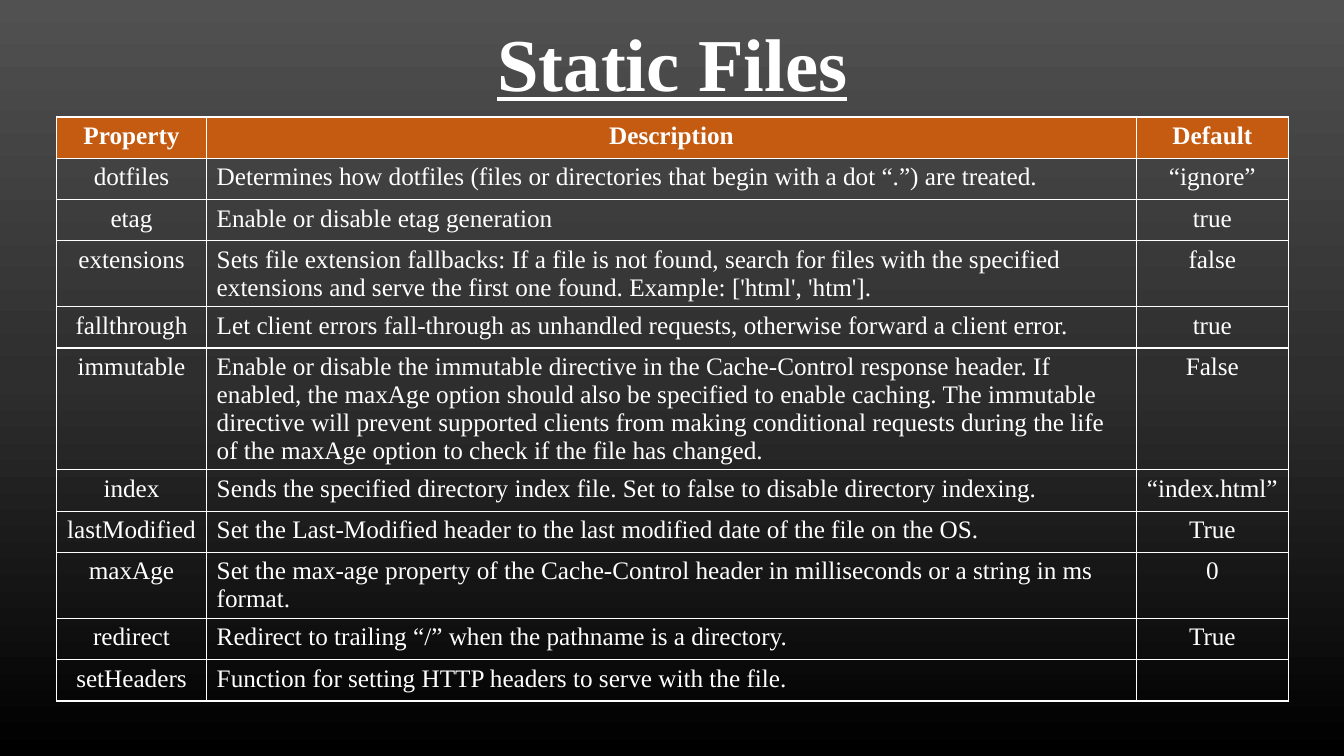
from copy import deepcopy
from dataclasses import dataclass

from lxml import etree
from pptx import Presentation
from pptx import util as u
from pptx.dml.color import RGBColor
from pptx.enum import text
from pptx.oxml import ns


@dataclass(frozen=True)
class Theme:
    font: str = "Times New Roman"
    title_size: float = 53.3
    table_size: float = 18
    light: str = "FFFFFF"
    header: str = "C55A11"
    border_width: float = 1
    background: tuple[str, ...] = ("515151", "2E2E2E", "000000")


@dataclass(frozen=True)
class Option:
    name: str
    description: str
    default: str


THEME = Theme()
COLUMN_WIDTHS = (1.49, 9.22, 1.51)
ROW_HEIGHT = 0.41
HEADER = Option("Property", "Description", "Default")
OPTIONS = (
    Option("dotfiles", "Determines how dotfiles (files or directories that begin with a dot “.”) are treated.", "“ignore”"),
    Option("etag", "Enable or disable etag generation", "true"),
    Option(
        "extensions",
        "Sets file extension fallbacks: If a file is not found, search for files with the specified "
        "extensions and serve the first one found. Example: ['html', 'htm'].",
        "false",
    ),
    Option("fallthrough", "Let client errors fall-through as unhandled requests, otherwise forward a client error.", "true"),
    Option(
        "immutable",
        "Enable or disable the immutable directive in the Cache-Control response header. If enabled, "
        "the maxAge option should also be specified to enable caching. The immutable directive will "
        "prevent supported clients from making conditional requests during the life of the maxAge "
        "option to check if the file has changed.",
        "False",
    ),
    Option("index", "Sends the specified directory index file. Set to false to disable directory indexing.", "“index.html”"),
    Option("lastModified", "Set the Last-Modified header to the last modified date of the file on the OS.", "True"),
    Option("maxAge", "Set the max-age property of the Cache-Control header in milliseconds or a string in ms format.", "0"),
    Option("redirect", "Redirect to trailing “/” when the pathname is a directory.", "True"),
    Option("setHeaders", "Function for setting HTTP headers to serve with the file.", ""),
)


def paint_background(slide) -> None:
    fill = slide.background.fill
    fill.gradient()
    fill.gradient_angle = 270
    stop_list = slide.element.find(".//" + ns.qn("a:gsLst"))
    stop_list.append(deepcopy(stop_list[0]))
    last = len(THEME.background) - 1
    for index, (stop, color) in enumerate(zip(fill.gradient_stops, THEME.background)):
        stop.position = index / last
        stop.color.rgb = RGBColor.from_string(color)


def format_paragraph(paragraph, size: float, bold: bool, alignment, underline: bool = False) -> None:
    paragraph.alignment = alignment
    for run in paragraph.runs:
        run.font.name = THEME.font
        run.font.size = u.Pt(size)
        run.font.bold = bold
        run.font.underline = underline
        run.font.color.rgb = RGBColor.from_string(THEME.light)


def add_title(slide, wording: str) -> None:
    title = slide.shapes.title
    title.left, title.top = u.Inches(0.67), u.Inches(0.04)
    title.width, title.height = u.Inches(12), u.Inches(1.25)
    frame = title.text_frame
    frame.text = wording
    frame.auto_size = text.MSO_AUTO_SIZE.NONE
    frame.vertical_anchor = text.MSO_ANCHOR.MIDDLE
    paragraph = frame.paragraphs[0]
    paragraph.line_spacing = 0.9
    format_paragraph(paragraph, THEME.title_size, True, text.PP_ALIGN.CENTER, True)


def add_borders(cell) -> None:
    properties = cell._tc.get_or_add_tcPr()
    for position, side in enumerate(("a:lnL", "a:lnR", "a:lnT", "a:lnB")):
        line = etree.Element(ns.qn(side), w=str(u.Pt(THEME.border_width)))
        fill = etree.SubElement(line, ns.qn("a:solidFill"))
        etree.SubElement(fill, ns.qn("a:srgbClr"), val=THEME.light)
        properties.insert(position, line)


def fill_cell(cell, wording: str, is_header: bool, alignment) -> None:
    cell.text_frame.text = wording
    format_paragraph(cell.text_frame.paragraphs[0], THEME.table_size, is_header, alignment)
    if is_header:
        cell.fill.solid()
        cell.fill.fore_color.rgb = RGBColor.from_string(THEME.header)
    else:
        cell.fill.background()
    add_borders(cell)


def add_option_table(slide) -> None:
    options = (HEADER, *OPTIONS)
    table = slide.shapes.add_table(
        len(options), len(COLUMN_WIDTHS), u.Inches(0.56), u.Inches(1.16),
        u.Inches(sum(COLUMN_WIDTHS)), u.Inches(ROW_HEIGHT * len(options)),
    ).table
    table.horz_banding = False
    for column, width in zip(table.columns, COLUMN_WIDTHS):
        column.width = u.Inches(width)
    for row, option in zip(table.rows, options):
        row.height = u.Inches(ROW_HEIGHT)
        is_header = option is HEADER
        center = text.PP_ALIGN.CENTER
        middle = center if is_header else text.PP_ALIGN.LEFT
        wordings = (option.name, option.description, option.default)
        for cell, wording, alignment in zip(row.cells, wordings, (center, middle, center)):
            fill_cell(cell, wording, is_header, alignment)


def main() -> None:
    presentation = Presentation()
    presentation.slide_width = u.Inches(13.33)
    presentation.slide_height = u.Inches(7.5)
    slide = presentation.slides.add_slide(presentation.slide_layouts.get_by_name("Title Only"))
    paint_background(slide)
    add_title(slide, "Static Files")
    add_option_table(slide)
    presentation.save("out.pptx")


if __name__ == "__main__":
    main()
